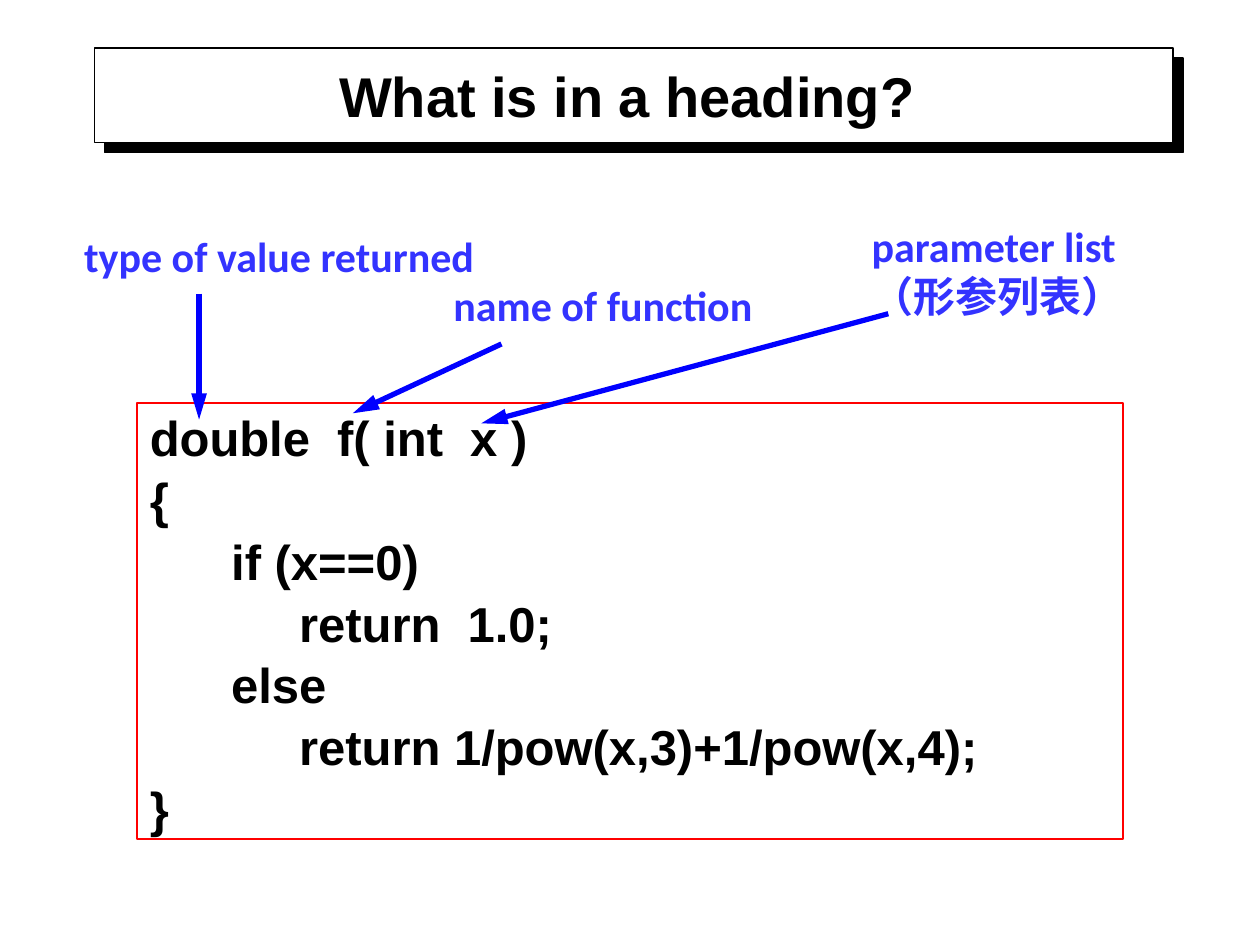
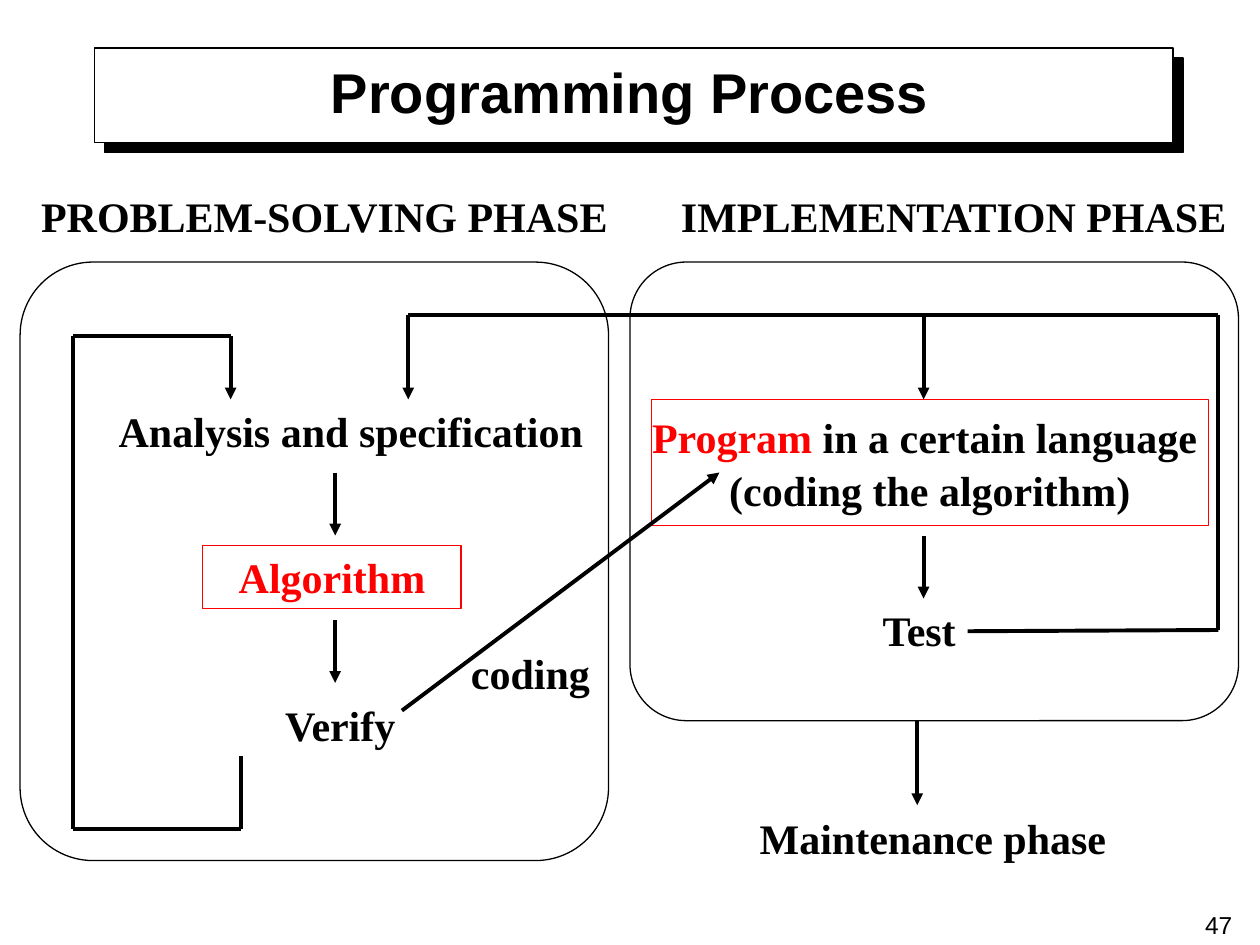
from itertools import pairwise

from lxml import etree
from pptx import Presentation
from pptx.dml.color import RGBColor
from pptx.enum.shapes import MSO_CONNECTOR, MSO_SHAPE
from pptx.enum.text import MSO_ANCHOR, MSO_AUTO_SIZE, PP_ALIGN
from pptx.oxml.ns import qn
from pptx.util import Inches, Pt

BLACK = RGBColor(0x00, 0x00, 0x00)
WHITE = RGBColor(0xFF, 0xFF, 0xFF)
RED = RGBColor(0xFF, 0x00, 0x00)
ARROW_BLUE = RGBColor(0x00, 0x00, 0xFF)
LABEL_BLUE = RGBColor(0x33, 0x33, 0xFF)

SANS, LABEL_FONT, SERIF = "Arial", "Calibri", "Times New Roman"
RECTANGLE, ROUNDED = MSO_SHAPE.RECTANGLE, MSO_SHAPE.ROUNDED_RECTANGLE
STRAIGHT = MSO_CONNECTOR.STRAIGHT
TOP, MIDDLE, BOTTOM = MSO_ANCHOR.TOP, MSO_ANCHOR.MIDDLE, MSO_ANCHOR.BOTTOM
LEFT, CENTER, RIGHT = PP_ALIGN.LEFT, PP_ALIGN.CENTER, PP_ALIGN.RIGHT
NO_AUTOFIT = MSO_AUTO_SIZE.NONE

TITLE_ONLY = 5
BAND = (0.75, 0.38, 8.56, 0.75)
SHADOW_OFFSET = 0.08

CODE = [
    "double  f( int  x )",
    "{",
    "      if (x==0)",
    "           return  1.0;",
    "      else",
    "           return 1/pow(x,3)+1/pow(x,4);",
    "}",
]


def inches(*lengths):
    return [Inches(length) for length in lengths]


def write_text(shape, lines, font=SERIF, size=24, color=BLACK, bold=True,
               align=CENTER, anchor=MIDDLE, wrap=False, spacing=None):
    frame = shape.text_frame
    frame.auto_size = NO_AUTOFIT
    frame.word_wrap = wrap
    frame.vertical_anchor = anchor
    for index, line in enumerate(lines):
        paragraph = frame.add_paragraph() if index else frame.paragraphs[0]
        paragraph.alignment = align
        if spacing:
            paragraph.line_spacing = spacing
        parts = [(line, color)] if isinstance(line, str) else line
        for text, part_color in parts:
            run = paragraph.add_run()
            run.text = text
            run.font.name = font
            run.font.size = Pt(size)
            run.font.bold = bold
            run.font.color.rgb = part_color


def add_label(slide, box, *lines, **text_format):
    write_text(slide.shapes.add_textbox(*inches(*box)), lines, **text_format)


def add_box(slide, box, kind=RECTANGLE, fill=None, line=BLACK, width=0.75):
    shape = slide.shapes.add_shape(kind, *inches(*box))
    shape.shadow.inherit = False
    if fill is None:
        shape.fill.background()
    else:
        shape.fill.solid()
        shape.fill.fore_color.rgb = fill
    shape.line.color.rgb = line
    shape.line.width = Pt(width)
    return shape


def add_phase_frame(slide, box, corner):
    add_box(slide, box, ROUNDED).adjustments[0] = corner


def add_line(slide, start, end, color=BLACK, width=2.25, arrow_length=None):
    line = slide.shapes.add_connector(STRAIGHT, *inches(*start, *end))
    line.line.color.rgb = color
    line.line.width = Pt(width)
    if arrow_length:
        etree.SubElement(line.line._get_or_add_ln(), qn("a:tailEnd"),
                         type="triangle", w="med", len=arrow_length)
    etree.SubElement(line._element.spPr, qn("a:effectLst"))


def add_route(slide, *points, arrow=True):
    segments = list(pairwise(points))
    for index, (start, end) in enumerate(segments, 1):
        is_last = index == len(segments)
        add_line(slide, start, end,
                 arrow_length="med" if arrow and is_last else None)


def add_titled_slide(presentation, title_text, box, anchor):
    slide = presentation.slides.add_slide(presentation.slide_layouts[TITLE_ONLY])
    left, top, width, height = BAND
    shadow = (left + SHADOW_OFFSET, top + SHADOW_OFFSET, width, height)
    add_box(slide, shadow, fill=BLACK)
    add_box(slide, BAND, fill=WHITE)
    title = slide.shapes.title
    title.left, title.top, title.width, title.height = inches(*box)
    write_text(title, [title_text], font=SANS, size=32, anchor=anchor, wrap=True)
    slide.shapes._spTree.append(title._element)
    return slide


def build_heading_slide(presentation):
    slide = add_titled_slide(presentation, "What is in a heading? ",
                             (0.75, 0.36, 8.58, 0.71), BOTTOM)
    code_box = add_box(slide, (1.09, 3.2, 7.82, 3.46), line=RED, width=1)
    write_text(code_box, CODE, font=SANS, size=28, align=LEFT, wrap=True,
               spacing=1.05)

    labels = [
        ((0.57, 1.78, 3.93, 0.9), ["type of value returned"]),
        ((3.5, 2.17, 2.92, 0.9), ["name of function"]),
        ((6.82, 1.7, 2.44, 1.3), ["parameter list", "（形参列表）"]),
    ]
    for box, lines in labels:
        add_label(slide, box, *lines, font=LABEL_FONT, color=LABEL_BLUE,
                  align=LEFT, anchor=TOP, wrap=True)

    pointers = [
        ((1.58, 2.33), (1.58, 3.33)),
        ((3.98, 2.73), (2.8, 3.28)),
        ((7.05, 2.49), (3.82, 3.36)),
    ]
    for start, end in pointers:
        add_line(slide, start, end, ARROW_BLUE, 3, arrow_length="lg")


def build_process_slide(presentation):
    slide = add_titled_slide(presentation, "Programming Process",
                             (0.75, 0.36, 8.5, 0.72), MIDDLE)
    add_label(slide, (7.55, 7.17, 2.33, 0.33), "47", font=SANS, size=14,
              bold=False, align=RIGHT, anchor=TOP)
    add_phase_frame(slide, (0.16, 2.08, 4.67, 4.75), 0.124)
    add_phase_frame(slide, (5, 2.08, 4.83, 3.64), 0.123)

    algorithm = add_box(slide, (1.61, 4.33, 2.05, 0.5), line=RED)
    write_text(algorithm, ["Algorithm"], color=RED)
    program = add_box(slide, (5.17, 3.17, 4.42, 1), line=RED, width=0.5)
    program_line = [("Program", RED), (" in a certain language ", BLACK)]
    write_text(program, [program_line, "(coding the algorithm)"], spacing=1.04)

    steps = [
        ("PROBLEM-SOLVING PHASE", (0.24, 1.42, 4.67, 0.58)),
        ("IMPLEMENTATION PHASE", (5.32, 1.42, 4.5, 0.58)),
        ("Analysis and specification", (0.91, 3.17, 3.75, 0.5)),
        ("Verify", (1.24, 5.5, 2.92, 0.5)),
        ("Test", (6.42, 4.75, 1.75, 0.5)),
        ("Maintenance phase", (5.99, 6.4, 2.83, 0.5)),
        ("coding", (3.58, 5.09, 1.26, 0.5)),
    ]
    for text, box in steps:
        add_label(slide, box, text)

    add_route(slide, (2.66, 3.75), (2.66, 4.25))
    add_route(slide, (2.66, 4.92), (2.66, 5.42))
    add_route(slide, (1.91, 6), (1.91, 6.58), (0.58, 6.58), (0.58, 2.67),
              (1.83, 2.67), (1.83, 3.17))
    add_route(slide, (3.19, 5.64), (5.71, 3.75))
    add_route(slide, (7.33, 4.25), (7.33, 4.75))
    add_route(slide, (7.28, 5.72), (7.28, 6.39))
    add_route(slide, (7.68, 5.01), (9.67, 5), (9.67, 2.5), (3.24, 2.5),
              (3.24, 3.17))
    add_route(slide, (7.33, 2.5), (7.33, 3.17))


def main():
    presentation = Presentation()
    presentation.slide_width, presentation.slide_height = inches(10, 7.5)
    build_heading_slide(presentation)
    build_process_slide(presentation)
    presentation.save("out.pptx")


if __name__ == "__main__":
    main()
